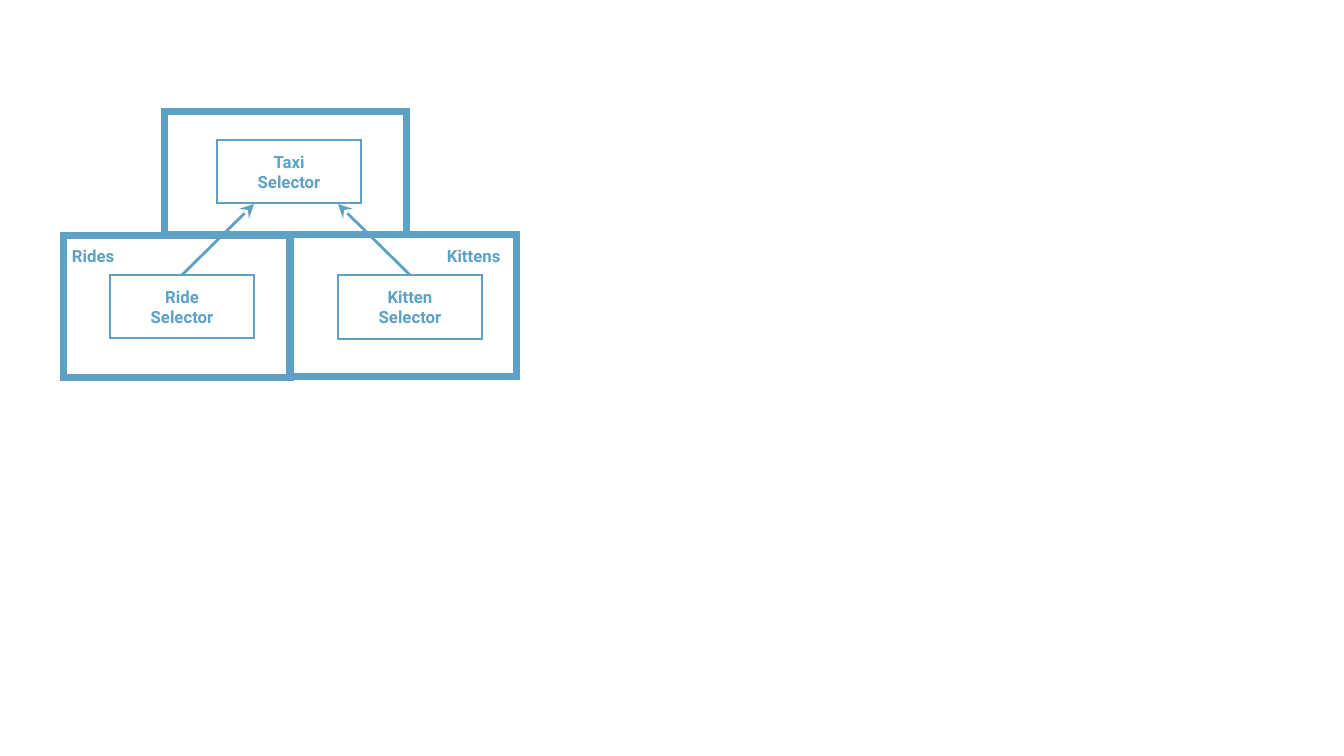
from lxml.etree import SubElement
from pptx import Presentation
from pptx.dml.color import RGBColor
from pptx.enum.shapes import MSO_CONNECTOR as Line, MSO_SHAPE as Shape
from pptx.enum.text import MSO_ANCHOR as Anchor, PP_ALIGN as Align
from pptx.oxml.ns import qn
from pptx.util import Emu, Pt

BLUE = RGBColor(0x5D, 0xA2, 0xC5)
SCALE = 12192000 / 1344


def px(*sizes):
    return [Emu(round(size * SCALE)) for size in sizes]


def write(shape, text, align=Align.LEFT, anchor=Anchor.TOP, wrap=False):
    frame = shape.text_frame
    frame.word_wrap = wrap
    frame.vertical_anchor = anchor
    frame.text = text
    for para in frame.paragraphs:
        para.alignment = align
        font = para.font
        font.name, font.size, font.bold = "Roboto", Pt(12), True
        font.color.rgb = BLUE


deck = Presentation()
deck.slide_width, deck.slide_height = px(1344, 756)
slide = deck.slides.add_slide(deck.slide_layouts[6])
shapes = slide.shapes

# Thick frames, then the named selector boxes inside them
boxes = {}
for name, left, top, width, height, weight in [
    (None, 63, 236, 228, 142, 5),
    (None, 290, 235, 227, 142, 5),
    (None, 164, 112, 243, 123, 5),
    ("Taxi", 217, 140, 144, 63, 1.5),
    ("Ride", 110, 275, 144, 63, 1.5),
    ("Kitten", 338, 275, 144, 64, 1.5),
]:
    box = shapes.add_shape(Shape.RECTANGLE, *px(left, top, width, height))
    box.shadow.inherit = False
    box.fill.background()
    box.line.color.rgb = BLUE
    box.line.width = Pt(weight)
    SubElement(box.line._get_or_add_ln(), qn("a:miter"), lim="800000")
    if name:
        boxes[name] = box
        write(box, f"{name}\nSelector", align=Align.CENTER,
              anchor=Anchor.MIDDLE, wrap=True)

# Frame labels
for text, left, width in [("Rides", 62, 66), ("Kittens", 437, 80)]:
    write(shapes.add_textbox(*px(left, 241, width, 30)), text)

# Arrows up to the taxi selector
for name, tip in [("Ride", 254), ("Kitten", 338)]:
    arrow = shapes.add_connector(Line.STRAIGHT, *px(0, 0, tip, 204))
    arrow.begin_connect(boxes[name], 0)
    arrow.line.color.rgb = BLUE
    arrow.line.width = Pt(2)
    SubElement(arrow.line._get_or_add_ln(), qn("a:tailEnd"),
               type="stealth", w="lg", len="lg")
    SubElement(arrow._element.spPr, qn("a:effectLst"))

deck.save("out.pptx")
